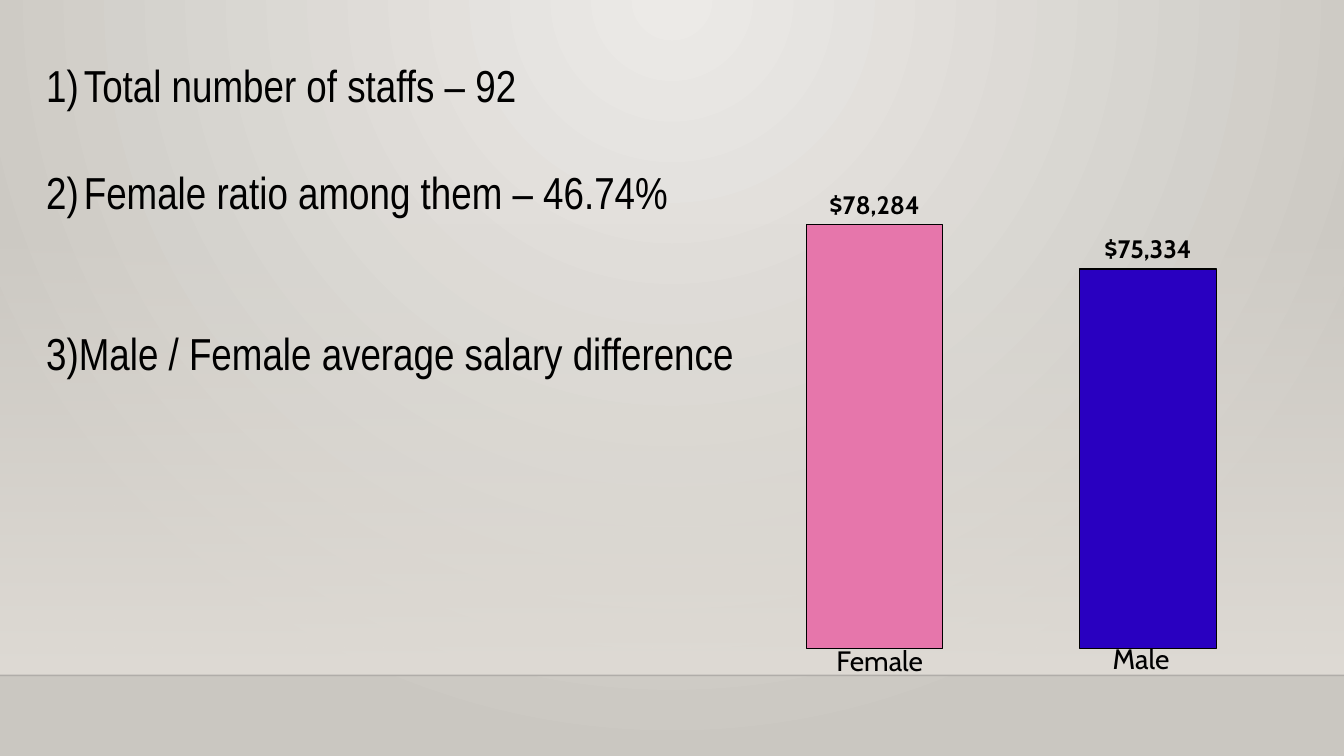
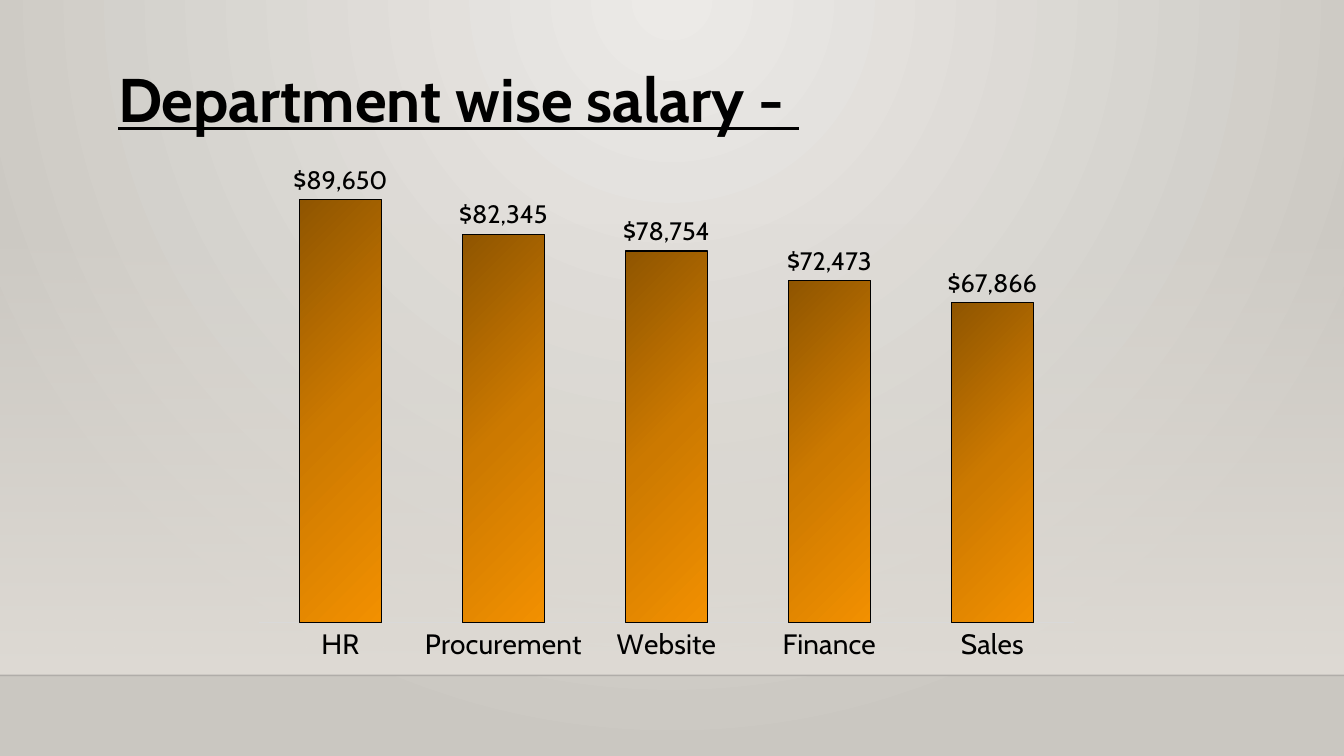
from lxml import etree
from pptx import Presentation
from pptx import util as u
from pptx.chart import data as chart_data
from pptx.dml import color
from pptx.enum import chart as ch
from pptx.enum import shapes, text
from pptx.oxml import parse_xml
from pptx.oxml.ns import nsdecls, qn

Cm, Pt = u.Cm, u.Pt
WIDTH, HEIGHT = 33.87, 19.05
FLOOR = 17.02
BLACK = "000000"
BODY_FONT, HEAD_FONT = "Arial Narrow", "Cabin"
LINEAR = '<a:lin ang="{}" scaled="0"/>'
SPOTLIGHT = ('<a:path path="circle">'
             '<a:fillToRect l="43000" t="0" r="43000" b="100000"/></a:path>')


def rgb(hex_colour):
    return color.RGBColor.from_string(hex_colour)


def set_gradient(properties, stops, shade):
    """Swap the empty fill for a gradient of (percent, colour, alpha) stops."""
    stop_xml = "".join(
        f'<a:gs pos="{pos * 1000}"><a:srgbClr val="{hex_colour}">'
        f'<a:alpha val="{alpha * 1000}"/></a:srgbClr></a:gs>'
        for pos, hex_colour, alpha in stops)
    gradient = parse_xml(f'<a:gradFill {nsdecls("a")} rotWithShape="1">'
                         f'<a:gsLst>{stop_xml}</a:gsLst>{shade}</a:gradFill>')
    empty_fill = properties.xpath("a:noFill")[0]
    properties.replace(empty_fill, gradient)


class Deck:
    def __init__(self):
        self.prs = Presentation()
        self.prs.slide_width, self.prs.slide_height = Cm(WIDTH), Cm(HEIGHT)
        self.slide = None

    def new_slide(self, layout):
        self.slide = self.prs.slides.add_slide(self.prs.slide_layouts[layout])

    def style_master(self):
        """Draw backdrop, wall and floor line, and move them to the master."""
        master = self.prs.slide_master
        master.background.fill.background()
        set_gradient(master.element.xpath("p:cSld/p:bg/p:bgPr")[0],
                     [(0, "ECEAE7", 100), (100, "CAC7C1", 100)], SPOTLIGHT)

        wall = self.slide.shapes.add_shape(
            shapes.MSO_SHAPE.RECTANGLE, 0, Cm(5.62), Cm(WIDTH), Cm(FLOOR - 5.62))
        wall.shadow.inherit = False
        wall.line.fill.background()
        wall.fill.background()
        set_gradient(wall.element.spPr, [(0, "DFDBD5", 0), (100, "DFDBD5", 100)],
                     LINEAR.format(5400000))

        floor = self.slide.shapes.add_connector(
            shapes.MSO_CONNECTOR.STRAIGHT, 0, Cm(FLOOR), Cm(WIDTH), Cm(FLOOR))
        floor.line.width = Pt(1)
        floor.line.color.rgb = rgb("000001")
        line_colour = floor.element.xpath(".//a:ln//a:srgbClr")[0]
        etree.SubElement(line_colour, qn("a:alpha")).set("val", "20000")
        etree.SubElement(floor.element.spPr, qn("a:effectLst"))

        for order, part in enumerate((wall, floor)):
            part.element.xpath("./*/p:cNvPr")[0].set("id", str(100 + order))
            master.shapes.element.insert(2 + order, part.element)

    def place(self, shape, left, top, width, height):
        shape.left, shape.top = Cm(left), Cm(top)
        shape.width, shape.height = Cm(width), Cm(height)

    def style_font(self, font, size, name=HEAD_FONT, bold=False):
        font.size, font.name, font.bold = Pt(size), name, bold
        font.color.rgb = rgb(BLACK)

    def title(self, wording, *box):
        heading = self.slide.shapes.title
        self.place(heading, *box)
        frame = heading.text_frame
        frame.text = wording
        frame.auto_size = text.MSO_AUTO_SIZE.NONE
        frame.vertical_anchor = text.MSO_ANCHOR.MIDDLE
        paragraph = frame.paragraphs[0]
        paragraph.alignment = text.PP_ALIGN.LEFT
        self.style_font(paragraph.font, 44, bold=True)
        paragraph.font.underline = True

    def facts(self, items, *box):
        """Fill the body with (wording, space before, numbered) items."""
        body = self.slide.placeholders[1]
        self.place(body, *box)
        frame = body.text_frame
        frame.auto_size = text.MSO_AUTO_SIZE.NONE
        frame.text = "\n".join(wording for wording, _, _ in items)
        for paragraph, (_, gap, numbered) in zip(frame.paragraphs, items):
            paragraph.space_before = Pt(gap)
            properties = paragraph._p.get_or_add_pPr()
            indent = Cm(0.95) if numbered else 0
            properties.set("marL", str(indent))
            properties.set("indent", str(-indent))
            if numbered:
                bullet = etree.SubElement(properties, qn("a:buAutoNum"))
                bullet.set("type", "arabicParenR")
            else:
                etree.SubElement(properties, qn("a:buNone"))
            self.style_font(paragraph.font, 32, BODY_FONT)

    def label(self, wording, left, top):
        box = self.slide.shapes.add_textbox(Cm(left), Cm(top), Cm(2.74), Cm(1.12))
        box.text_frame.word_wrap = True
        box.text_frame.text = wording
        self.style_font(box.text_frame.paragraphs[0].font, 20)

    def columns(self, salaries, low, high, *box, bold=False):
        """Add a column chart and return it for colouring."""
        data = chart_data.CategoryChartData()
        data.categories = list(salaries)
        data.add_series("Series 1", list(salaries.values()))
        chart = self.slide.shapes.add_chart(
            ch.XL_CHART_TYPE.COLUMN_CLUSTERED, *map(Cm, box), data).chart
        chart.has_legend = chart.has_title = False
        self.style_font(chart.font, 10)

        value_axis = chart.value_axis
        value_axis.minimum_scale, value_axis.maximum_scale = low, high
        value_axis.has_major_gridlines = False
        value_axis.visible = False

        plot = chart.plots[0]
        plot.gap_width, plot.overlap = 100, -27
        plot.vary_by_categories = False
        outline = plot.series[0].format.line
        outline.width = Pt(0.75)
        outline.color.rgb = rgb(BLACK)

        plot.has_data_labels = True
        labels = plot.data_labels
        labels.show_value = True
        labels.position = ch.XL_LABEL_POSITION.OUTSIDE_END
        labels.number_format = '"$"#,##0'
        labels.number_format_is_linked = False
        self.style_font(labels.font, 18, bold=bold)
        return chart


def staff_slide(deck):
    title = deck.slide.shapes.title
    title.element.getparent().remove(title.element)
    deck.facts([("Total number of staffs – 92", 0, True),
                ("Female ratio among them – 46.74%", 38, True),
                ("3)Male / Female average salary difference", 77, False)],
               0.91, 1.32, 27.05, 9.83)
    chart = deck.columns({"1": 78284, "2": 75334}, 50000, 80000,
                         18.31, 4.78, 14.35, 11.81, bold=True)
    chart.category_axis.visible = False
    salaries = chart.plots[0].series[0]
    for index, hex_colour in enumerate(("E676AB", "2900C0")):
        bar = salaries.points[index].format
        bar.fill.solid()
        bar.fill.fore_color.rgb = rgb(hex_colour)
        bar.line.width = Pt(0.75)
        bar.line.color.rgb = rgb(BLACK)
    deck.label("Female", 20.83, 16.08)
    deck.label("Male", 27.79, 16.05)


def department_slide(deck):
    deck.title("Department wise salary - ", 2.72, 1.4, 22.07, 2.13)
    chart = deck.columns({"HR": 89650, "Procurement": 82345, "Website": 78754,
                          "Finance": 72473, "Sales": 67866}, 0, 100000,
                         6.1, 3.53, 21.39, 13.41)
    departments = chart.category_axis
    departments.major_tick_mark = ch.XL_TICK_MARK.NONE
    departments.format.line.width = Pt(0.75)
    departments.format.line.color.rgb = rgb("D9D9D9")
    deck.style_font(departments.tick_labels.font, 20)
    chart.plots[0].series[0].format.fill.background()
    set_gradient(chart.element.xpath(".//c:ser/c:spPr")[0],
                 [(0, "8F5500", 100), (50, "CC7900", 100), (100, "F29000", 100)],
                 LINEAR.format(2700000))


def main():
    deck = Deck()
    deck.new_slide(1)
    deck.style_master()
    staff_slide(deck)
    deck.new_slide(5)
    department_slide(deck)
    deck.prs.save("out.pptx")


if __name__ == "__main__":
    main()
